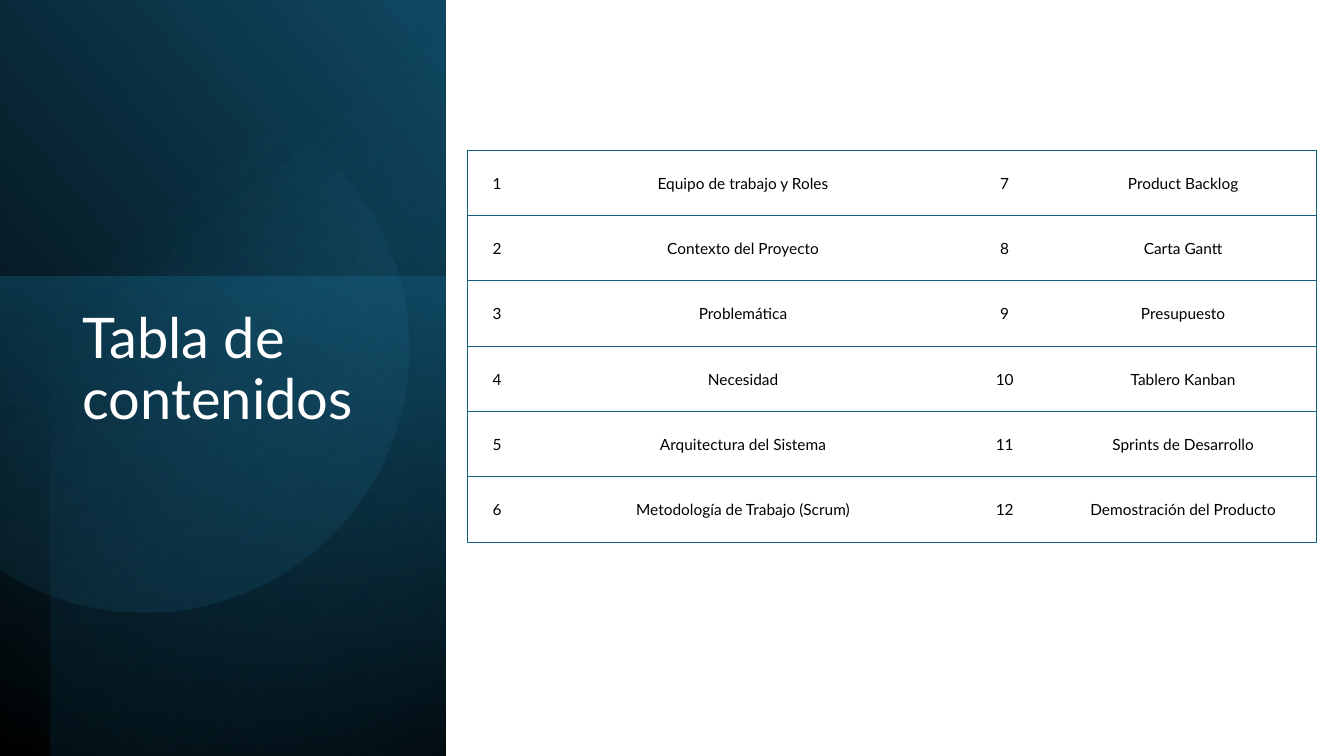
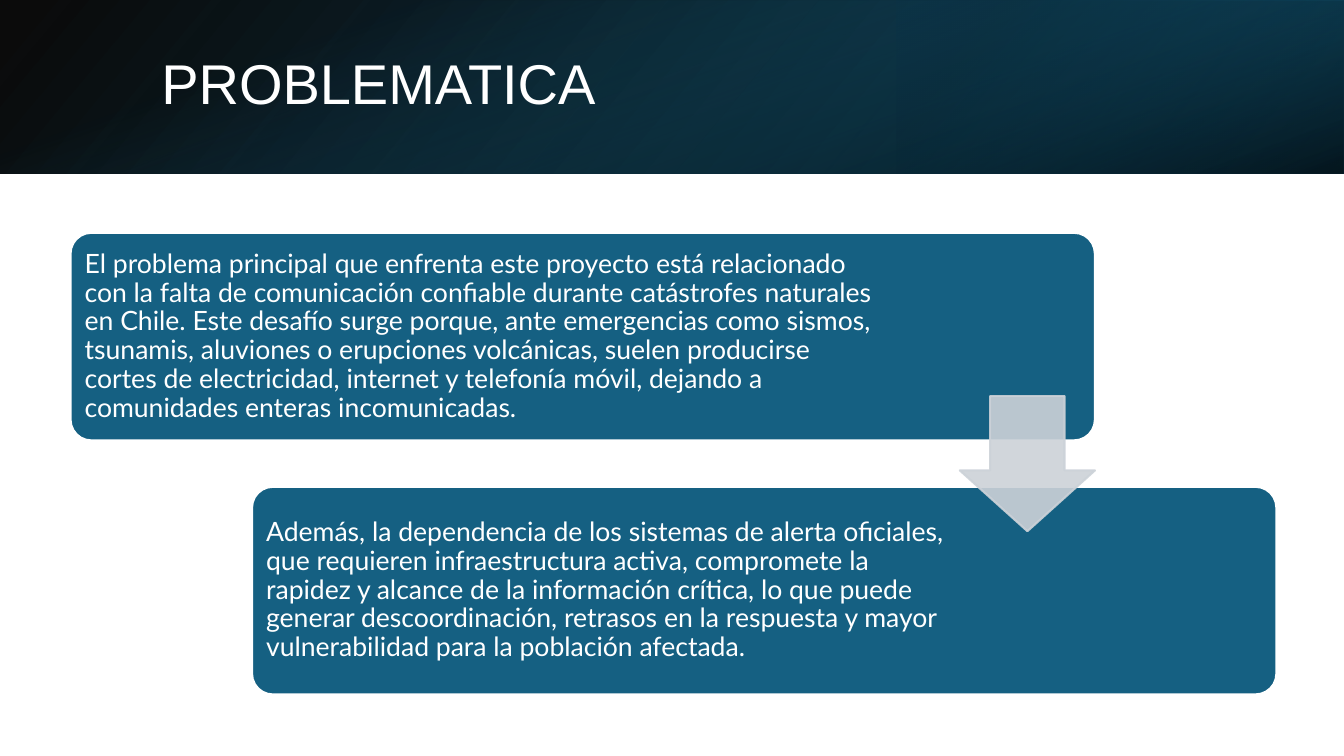
import pptx
import pptx.dml.color
import pptx.enum.shapes
import pptx.enum.text
import pptx.oxml
import pptx.oxml.ns
import pptx.util

Inches = pptx.util.Inches
Pt = pptx.util.Pt
RGB = pptx.dml.color.RGBColor.from_string
SHAPE = pptx.enum.shapes.MSO_SHAPE
ALIGN = pptx.enum.text.PP_ALIGN
ANCHOR = pptx.enum.text.MSO_ANCHOR
NS = pptx.oxml.ns.nsdecls("a")

COLORS = {
    "black": "000000",
    "white": "FFFFFF",
    "teal": "156082",
    "deep": "104862",
    "night": "0B3041",
    "sky": "46B1E1",
    "arrow": "CCD2D8",
}
BODY_FONT = "Lato"
PLAIN_TABLE_STYLE = "{2D5ABB26-0587-4C30-8999-92F81FD0307C}"


def paint_gradient(shape, stops, angle, rotation=0, flip=False):
    """Fill with (position %, colour, opacity %) stops along a clockwise angle."""
    stop_xml = "".join(
        f'<a:gs pos="{pos * 1000}"><a:srgbClr val="{COLORS[color]}">'
        f'<a:alpha val="{opacity * 1000}"/></a:srgbClr></a:gs>'
        for pos, color, opacity in stops)
    properties = shape._element.spPr
    properties.insert(2, pptx.oxml.parse_xml(
        f'<a:gradFill {NS}><a:gsLst>{stop_xml}</a:gsLst>'
        f'<a:lin ang="{angle * 60000}" scaled="0"/></a:gradFill>'))
    shape.line.fill.background()
    shape.shadow.inherit = False
    shape.rotation = rotation
    if flip:
        properties.xfrm.set("flipH", "1")


def write(frame, text, size, color, font=BODY_FONT, align=ALIGN.LEFT, spacing=None):
    paragraph = frame.paragraphs[0]
    paragraph.alignment = align
    paragraph.line_spacing = spacing
    run = paragraph.add_run()
    run.text = text
    run.font.size = Pt(size)
    run.font.name = font
    run.font.color.rgb = RGB(COLORS[color])


deck = pptx.Presentation()
deck.slide_width = Inches(13.33)
deck.slide_height = Inches(7.5)

# Backdrop bands: box, stops, angle, rotation, flip
slide_specs = [
    {
        "title": "Tabla de contenidos", "font": BODY_FONT,
        "box": (0.72, 3.03, 3.15, 3.36), "anchor": ANCHOR.TOP,
        "bands": [
            ((-1.55, 1.55, 7.52, 4.42), [(0, "black", 100), (100, "deep", 100)], 310, 90, True),
            ((-0.17, 2.91, 4.76, 4.42), [(0, "teal", 50), (100, "night", 0)], 190, 270, False),
            ((-1.29, 1.79, 7.5, 3.92), [(0, "black", 59), (69, "teal", 0)], 220, 270, True),
        ],
    },
    {
        "title": "PROBLEMATICA", "font": "Arial",
        "box": (1.5, 0.38, 10.98, 0.96), "anchor": ANCHOR.MIDDLE,
        "bands": [
            ((0, 0, 13.33, 1.72), [(0, "black", 96), (100, "deep", 100)], 140, 0, True),
            ((8.89, 0, 4.44, 1.72), [(19, "night", 68), (100, "teal", 79)], 320, 180, True),
            ((5.8, -5.8, 1.72, 13.33), [(23, "teal", 0), (99, "black", 74)], 340, 90, False),
        ],
    },
]

# Slides with their bands and titles
slides = []
for spec_row in slide_specs:
    slide = deck.slides.add_slide(deck.slide_layouts[5])
    slides.append(slide)
    for box, stops, angle, rotation, flip in spec_row["bands"]:
        band = slide.shapes.add_shape(SHAPE.RECTANGLE, *map(Inches, box))
        paint_gradient(band, stops, angle, rotation, flip)

    title = slide.shapes.title
    title.left, title.top, title.width, title.height = map(Inches, spec_row["box"])
    title.text_frame.word_wrap = True
    title.text_frame.auto_size = pptx.enum.text.MSO_AUTO_SIZE.NONE
    title.text_frame.vertical_anchor = spec_row["anchor"]
    write(title.text_frame, spec_row["title"], 40, "white", spec_row["font"], spacing=0.9)
    slide.shapes._spTree.append(title._element)  # bring the title in front of the bands

contents_slide, problem_slide = slides

# Contents: glowing disc cut off by the left edge of the slide
radius, tilt, edge_angle = 2.62, 101.6, 123
disc = contents_slide.shapes.add_shape(
    SHAPE.CHORD, Inches(1.43 - radius), Inches(3.46 - radius),
    Inches(2 * radius), Inches(2 * radius))
for index, degrees in enumerate([-edge_angle, edge_angle]):
    disc.adjustments[index] = (degrees - tilt) % 360 * 0.6  # 60000ths over 100000
paint_gradient(disc, [(39, "sky", 0), (100, "deep", 26)], 310, tilt)
contents_slide.shapes._spTree.append(contents_slide.shapes.title._element)

# Contents: numbered topics, counted down the left half and then the right
topics = [
    "Equipo de trabajo y Roles", "Contexto del Proyecto", "Problemática",
    "Necesidad", "Arquitectura del Sistema", "Metodología de Trabajo (Scrum)",
    "Product Backlog", "Carta Gantt", "Presupuesto",
    "Tablero Kanban", "Sprints de Desarrollo", "Demostración del Producto",
]
column_widths = [0.58, 4.3, 0.89, 2.65]
row_count = len(topics) // 2
contents = contents_slide.shapes.add_table(
    row_count, len(column_widths), Inches(4.64), Inches(1.49),
    Inches(sum(column_widths)), Inches(3.89)).table
contents._tbl.tblPr.find(pptx.oxml.ns.qn("a:tableStyleId")).text = PLAIN_TABLE_STYLE
contents.first_row = False
contents.horz_banding = False
for column, width in zip(contents.columns, column_widths):
    column.width = Inches(width)

for row in range(row_count):
    contents.rows[row].height = Inches(3.89 / row_count)
    left, right = row, row + row_count
    labels = [str(left + 1), topics[left], str(right + 1), topics[right]]
    for col, label in enumerate(labels):
        cell = contents.cell(row, col)
        cell.fill.solid()
        cell.fill.fore_color.rgb = RGB(COLORS["white"])
        cell.vertical_anchor = ANCHOR.MIDDLE
        cell.margin_left = cell.margin_right = cell.margin_top = Inches(0.01)
        cell.margin_bottom = 0
        write(cell.text_frame, label, 11, "black", align=ALIGN.CENTER)
        sides = {0: ["lnL"], len(labels) - 1: ["lnR"]}.get(col, []) + ["lnT", "lnB"]
        for place, side in enumerate(sides):
            cell._tc.tcPr.insert(place, pptx.oxml.parse_xml(
                f'<a:{side} {NS} w="12700"><a:solidFill>'
                f'<a:srgbClr val="{COLORS["teal"]}"/></a:solidFill></a:{side}>'))

# Problem: two staggered statements, each with its own text width
statements = [
    (0.7, 2.31, 8.03,
     "El problema principal que enfrenta este proyecto está relacionado con la falta de "
     "comunicación confiable durante catástrofes naturales en Chile. Este desafío surge "
     "porque, ante emergencias como sismos, tsunamis, aluviones o erupciones volcánicas, "
     "suelen producirse cortes de electricidad, internet y telefonía móvil, dejando a "
     "comunidades enteras incomunicadas."),
    (2.5, 4.83, 6.9,
     "Además, la dependencia de los sistemas de alerta oficiales, que requieren "
     "infraestructura activa, compromete la rapidez y alcance de la información crítica, "
     "lo que puede generar descoordinación, retrasos en la respuesta y mayor "
     "vulnerabilidad para la población afectada."),
]
card_width, corner_inset, padding = 10.16, 0.06, 0.08
for left, top, text_width, text in statements:
    card = problem_slide.shapes.add_shape(
        SHAPE.ROUNDED_RECTANGLE, Inches(left), Inches(top), Inches(card_width), Inches(2.06))
    card.adjustments[0] = 0.1
    card.shadow.inherit = False
    card.fill.solid()
    card.fill.fore_color.rgb = RGB(COLORS["teal"])
    card.line.color.rgb = RGB(COLORS["white"])
    card.line.width = Pt(1.5)
    frame = card.text_frame
    frame.word_wrap = True
    frame.vertical_anchor = ANCHOR.MIDDLE
    frame.margin_left = frame.margin_top = frame.margin_bottom = Inches(padding)
    # The rounded corners already inset the text on both sides
    frame.margin_right = Inches(card_width - 2 * corner_inset - text_width + padding)
    write(frame, text, 19, "white", spacing=0.9)

# Problem: translucent arrow from the first statement to the second
arrow = problem_slide.shapes.add_shape(
    SHAPE.DOWN_ARROW, Inches(9.52), Inches(3.93), Inches(1.34), Inches(1.34))
arrow.adjustments[0] = 0.55
arrow.adjustments[1] = 0.45
arrow.shadow.inherit = False
arrow.fill.solid()
arrow.fill.fore_color.rgb = RGB(COLORS["arrow"])
arrow.line.color.rgb = RGB(COLORS["arrow"])
arrow.line.width = Pt(1.5)
for color in arrow._element.spPr.iter(pptx.oxml.ns.qn("a:srgbClr")):
    color.append(pptx.oxml.parse_xml(f'<a:alpha {NS} val="90000"/>'))

deck.save("out.pptx")
